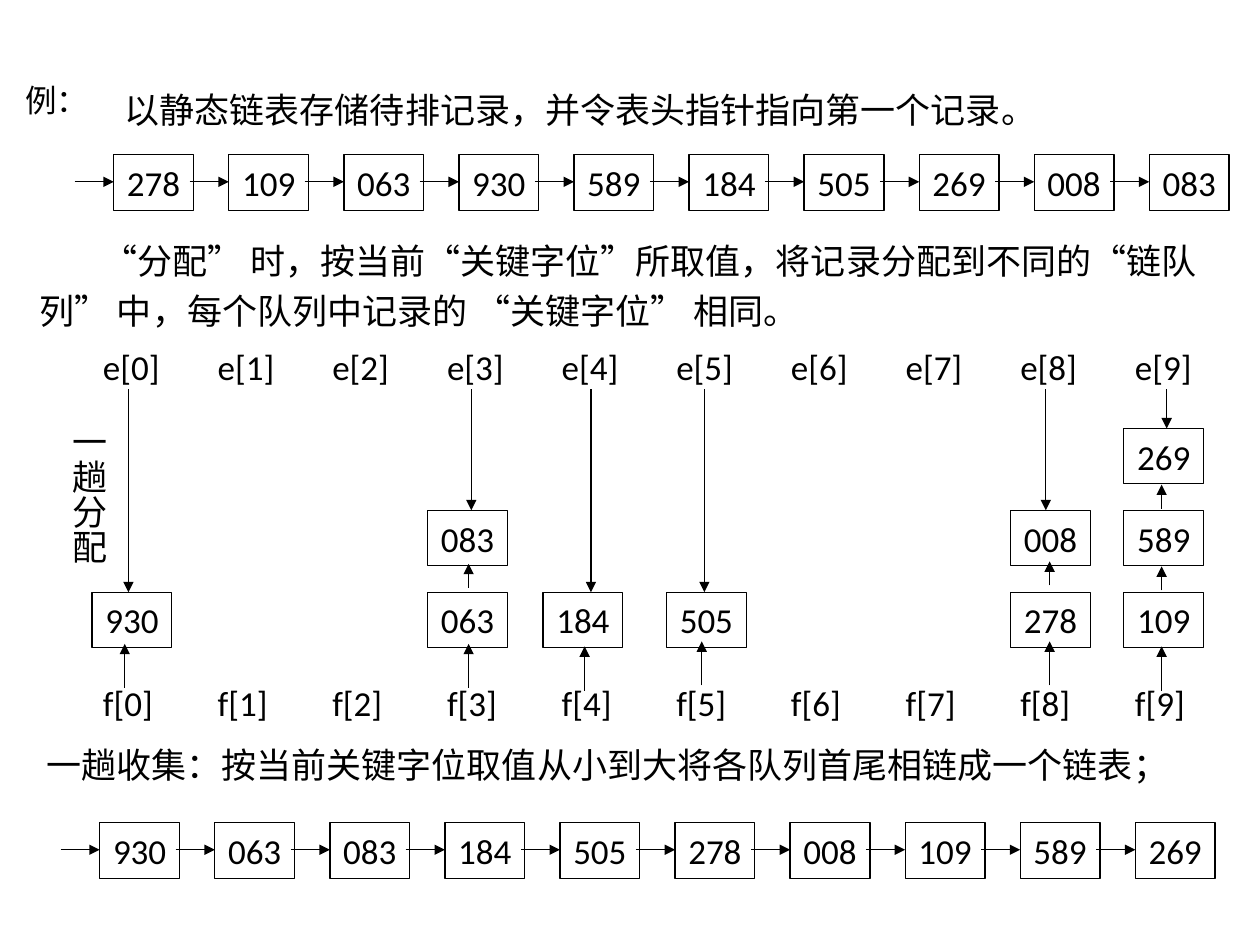
"""Build a slide on one distribute and collect pass of radix sort."""
from dataclasses import dataclass
from lxml import etree
from pptx import Presentation
from pptx.dml.color import RGBColor
from pptx.enum.shapes import MSO_CONNECTOR, MSO_SHAPE
from pptx.enum.text import MSO_ANCHOR, MSO_AUTO_SIZE, PP_ALIGN
from pptx.oxml.ns import qn
from pptx.util import Pt

LEFT, CENTER = PP_ALIGN.LEFT, PP_ALIGN.CENTER
TOP, MIDDLE = MSO_ANCHOR.TOP, MSO_ANCHOR.MIDDLE
FIXED = MSO_AUTO_SIZE.NONE
RECT, LINE = MSO_SHAPE.RECTANGLE, MSO_CONNECTOR.STRAIGHT
LATIN, HAN = "Calibri", "Noto Sans CJK SC"
BLACK = "000000"
BOX_W, BOX_H = 45.6, 31.7
LINK_GAP, LINK_LEN = 65.75, 22.4
LABEL_GAP = 65.52
FLOOR, STEP = 338.4, 46.8


@dataclass
class Chain:
    """A linked list drawn as a row of boxes."""
    left: float
    top: float
    keys: str


@dataclass
class Queue:
    """A queue drawn upwards, with its arrow places."""
    left: float
    front: float
    rear: float
    foot: float
    keys: str


CHAINS = [
    Chain(65, 88.5, "278 109 063 930 589 184 505 269 008 083"),
    Chain(57, 470.2, "930 063 083 184 505 278 008 109 589 269"),
]
QUEUES = [
    Queue(52.6, 71.3, 73.4, 393.1, "930"),
    Queue(244.4, 267.8, 269.3, 393.1, "063 083"),
    Queue(310.3, 334.1, 337.7, 394.6, "184"),
    Queue(380.9, 401, 402.5, 391.7, "505"),
    Queue(577.5, 599.8, 597.6, 391.7, "278 008"),
    Queue(642.2, 663.8, 666.7, 394.6, "109 589 269"),
]


def paint(part, color: str) -> None:
    """Give a fill or a font a colour."""
    target = part.color if hasattr(part, "color") else part.fore_color
    target.rgb = RGBColor.from_string(color)


def write(shape, text: str, *, size=20, font=LATIN, align=LEFT, anchor=TOP,
          space=1.0, indent=0.0, inset=7.2) -> None:
    """Write one formatted paragraph into a shape."""
    frame = shape.text_frame
    frame.word_wrap, frame.auto_size = True, FIXED
    frame.vertical_anchor = anchor
    frame.margin_left, frame.margin_right = Pt(inset), Pt(0)
    frame.margin_top = frame.margin_bottom = Pt(3.6)
    if align == CENTER:
        frame.margin_left = Pt(0)
    para = frame.paragraphs[0]
    para.alignment, para.line_spacing = align, space
    para.space_before = Pt(0)
    props = para._p.get_or_add_pPr()
    props.set("marL", "0")
    props.set("indent", str(Pt(indent)))
    etree.SubElement(props, qn("a:buNone"))
    run = para.add_run()
    run.text = text
    run.font.size, run.font.name = Pt(size), font
    paint(run.font, BLACK)
    etree.SubElement(run._r.get_or_add_rPr(), qn("a:ea"), typeface=HAN)


def place(shape, left: float, top: float, width: float, height: float) -> None:
    """Move and size a shape in points."""
    shape.left, shape.top = Pt(left), Pt(top)
    shape.width, shape.height = Pt(width), Pt(height)


def label(slide, text: str, left: float, top: float, width: float,
          height: float, **form):
    """Add a text box."""
    box = slide.shapes.add_textbox(Pt(left), Pt(top), Pt(width), Pt(height))
    write(box, text, **form)
    return box


def node(slide, key: str, left: float, top: float) -> None:
    """Add a record box."""
    box = slide.shapes.add_shape(RECT, Pt(left), Pt(top), Pt(BOX_W), Pt(BOX_H))
    box.shadow.inherit = False
    box.fill.background()
    box.line.width = Pt(0.75)
    box.line.fill.solid()
    paint(box.line.fill, BLACK)
    write(box, key, align=CENTER, anchor=MIDDLE)


def arrow(slide, x1: float, y1: float, x2: float, y2: float) -> None:
    """Add an arrow from one point to another."""
    link = slide.shapes.add_connector(LINE, Pt(x1), Pt(y1), Pt(x2), Pt(y2))
    link.line.width = Pt(0.75)
    link.line.fill.solid()
    paint(link.line.fill, BLACK)
    etree.SubElement(link.line._get_or_add_ln(), qn("a:tailEnd"), type="triangle")
    etree.SubElement(link._element.spPr, qn("a:effectLst"))


def draw_chain(slide, chain: Chain) -> None:
    """Draw a chain with an arrow into each box."""
    mid = chain.top + 15.4
    for i, key in enumerate(chain.keys.split()):
        left = chain.left + i * LINK_GAP
        node(slide, key, left, chain.top)
        arrow(slide, left - LINK_LEN, mid, left, mid)


def draw_queue(slide, queue: Queue) -> None:
    """Draw a queue with its front, inner and rear arrows."""
    top = FLOOR
    for i, key in enumerate(queue.keys.split()):
        top = FLOOR - i * STEP
        node(slide, key, queue.left, top)
        start = queue.foot - 10.4 - i * STEP if i else queue.foot
        tip = start - (13.7 if i else 25.2)
        arrow(slide, queue.front, start, queue.front, tip)
    arrow(slide, queue.rear, 222.5, queue.rear, top)


def main() -> None:
    """Build and save the slide."""
    deck = Presentation()
    deck.slide_width, deck.slide_height = Pt(720), Pt(540)
    slide = deck.slides.add_slide(deck.slide_layouts[1])
    title, body = slide.placeholders
    place(title, 64, 51.8, 543, 27)
    write(title, "以静态链表存储待排记录，并令表头指针指向第一个记录。", space=0.8)
    place(body, 15.1, 128.2, 673, 65)
    write(body, "“分配” 时，按当前“关键字位”所取值，将记录分配到不同的“链队列” 中，"
          "每个队列中记录的 “关键字位” 相同。", space=1.2, indent=36)
    label(slide, "例：", 7.2, 39.6, 70, 40, size=18, font=HAN, space=1.15)
    for chain in CHAINS:
        draw_chain(slide, chain)
    for queue in QUEUES:
        draw_queue(slide, queue)
    for name, top in (("e", 193.7), ("f", 385.9)):
        for i in range(10):
            label(slide, f"{name}[{i}]", 51.8 + i * LABEL_GAP, top, 47, 31)
    side = label(slide, "一趟分配", 24.5, 235.4, 38, 101)
    side.text_frame._txBody.bodyPr.set("vert", "eaVert")
    label(slide, "一趟收集：按当前关键字位取值从小到大将各队列首尾相链成一个链表；",
          19.4, 421.2, 664, 37)
    deck.save("out.pptx")


main()
